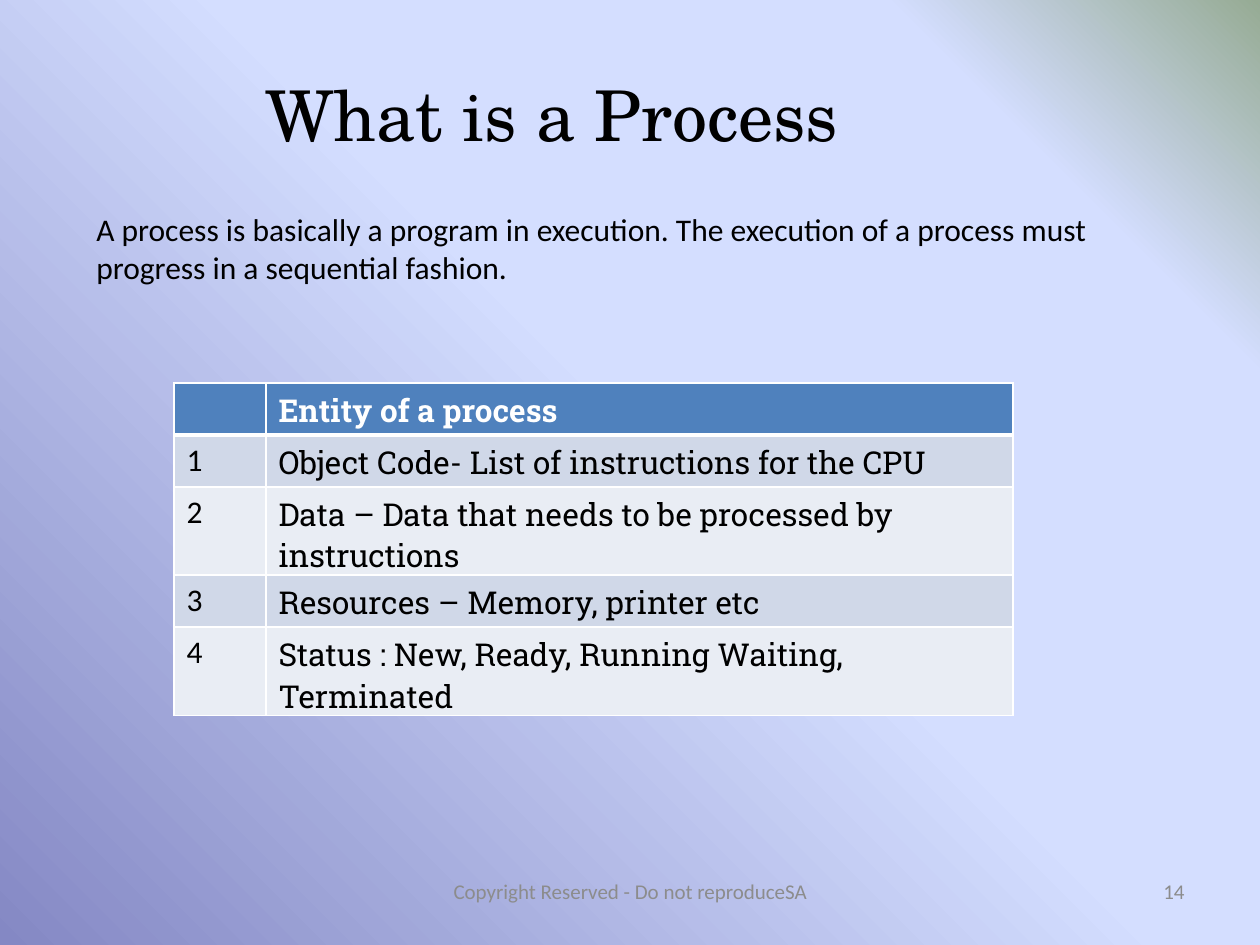
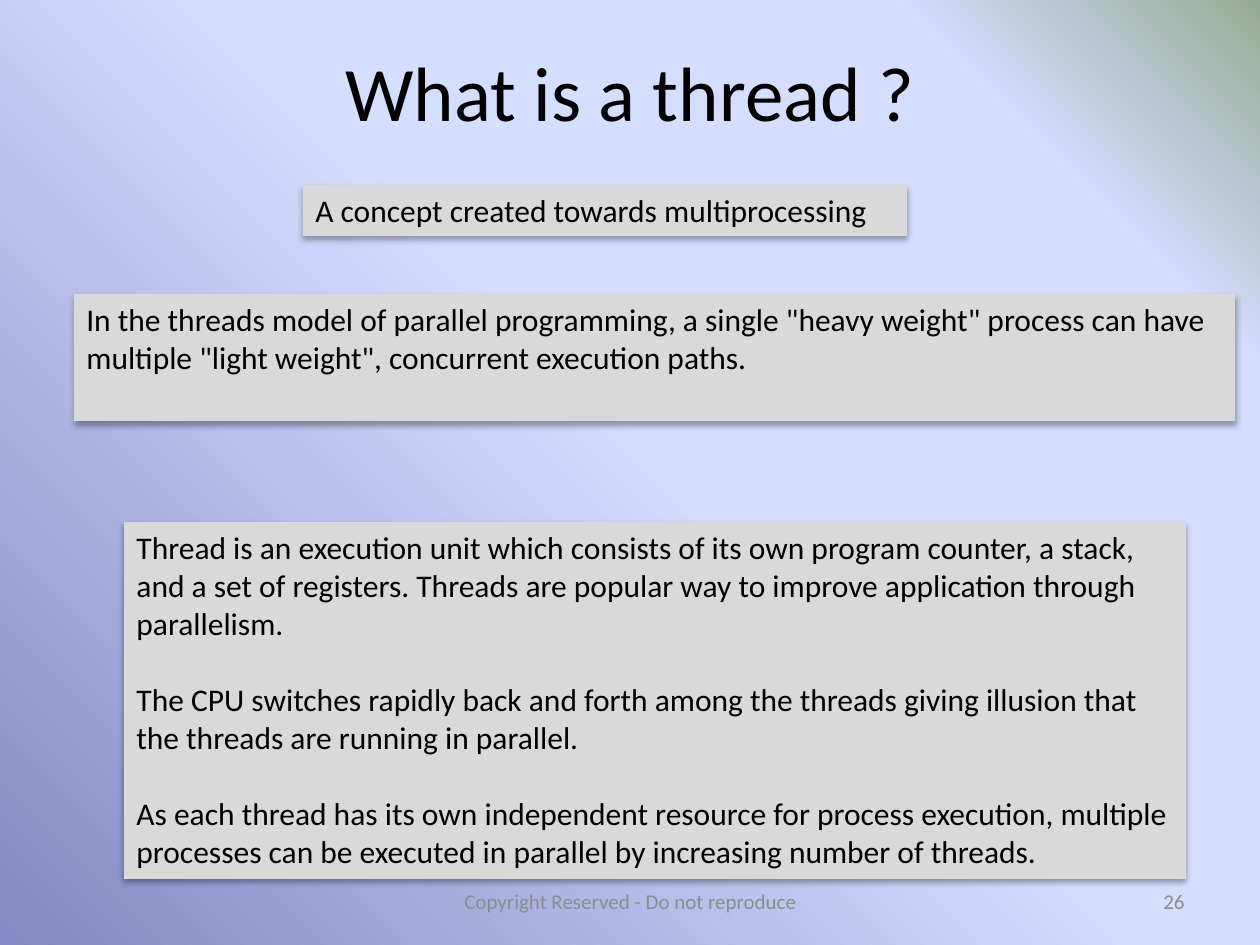
from lxml.etree import SubElement
from copy import deepcopy
from pptx import Presentation
from pptx.dml.color import RGBColor
from pptx.enum.shapes import MSO_SHAPE as SHAPE
from pptx.enum.text import MSO_ANCHOR as ANCHOR, PP_ALIGN as ALIGN
from pptx.oxml.ns import qn
from pptx.util import Pt

PX = 914400 / 126  # EMU in one pixel
WIDTH, HEIGHT = 1260, 945

# Shared look
BACKGROUND = [(0, "8488C4"), (0.53, "D4DEFF"), (0.83, "D4DEFF"), (1, "96AB94")]
PANEL, HEADER, BANDS = "D9D9D9", "4F81BD", ("D0D8E8", "E9EDF4")
SANS, SLAB, SERIF = "Calibri", "Roboto Slab", "TeX Gyre Schola"
BODY = {"name": SANS, "size": Pt(18), "color": "000000"}
FOOTER = {"name": SANS, "size": Pt(12), "color": "8C8C8C"}
SLAB_BODY = BODY | {"name": SLAB}
SLAB_HEAD = SLAB_BODY | {"color": "FFFFFF", "bold": True}
TITLE_SERIF = BODY | {"name": SERIF, "size": Pt(40)}
TITLE_SANS = BODY | {"size": Pt(44)}


def px(n):
    return round(n * PX)


def rgb(code):
    return RGBColor.from_string(code)


def write(tf, paragraphs, style, align=ALIGN.LEFT, gap=0):
    """Fill a text frame, with a gap in points between paragraphs."""
    for i, text in enumerate(paragraphs):
        p = tf.add_paragraph() if i else tf.paragraphs[0]
        p.alignment = align
        if i:
            p.space_before = Pt(gap)
        r = p.add_run()
        r.text = text
        for key, value in style.items():
            if key == "color":
                r.font.color.rgb = rgb(value)
            else:
                setattr(r.font, key, value)


def add_text(s, box, text, style, align=ALIGN.LEFT, anchor=ANCHOR.TOP, wrap=True):
    tf = s.shapes.add_textbox(*map(px, box)).text_frame
    tf.word_wrap = wrap
    tf.vertical_anchor = anchor
    write(tf, [text], style, align)


def add_panel(s, box, *paragraphs):
    """Grey box with a soft shadow below it."""
    sp = s.shapes.add_shape(SHAPE.RECTANGLE, *map(px, box))
    sp.fill.solid()
    sp.fill.fore_color.rgb = rgb(PANEL)
    sp.line.fill.background()
    sp.shadow.inherit = False
    effects = sp._element.spPr.find(qn("a:effectLst"))
    shadow = SubElement(effects, qn("a:outerShdw"), blurRad=str(Pt(3.5)),
                        dist=str(Pt(2.2)), dir="5400000", rotWithShape="0")
    color = SubElement(shadow, qn("a:srgbClr"), val="000000")
    SubElement(color, qn("a:alpha"), val="32000")
    tf = sp.text_frame
    tf.word_wrap = True
    tf.vertical_anchor = ANCHOR.TOP
    write(tf, paragraphs, BODY, gap=22)


def set_borders(cell, **widths):
    tc_pr = cell._tc.get_or_add_tcPr()
    for side in "LRTB":
        ln = SubElement(tc_pr, qn(f"a:ln{side}"), w=str(Pt(widths.get(side, 1))))
        fill = SubElement(ln, qn("a:solidFill"))
        SubElement(fill, qn("a:srgbClr"), val="FFFFFF")


def add_entity_table(s, left, top, widths, heights, heading, entities):
    """Numbered list of entities under one heading."""
    box = (left, top, sum(widths), sum(heights))
    table = s.shapes.add_table(len(heights), len(widths), *map(px, box)).table
    for column, width in zip(table.columns, widths):
        column.width = px(width)
    for row, height in zip(table.rows, heights):
        row.height = px(height)
    rows = [("", heading)] + [(str(n), text) for n, text in enumerate(entities, 1)]
    for i, texts in enumerate(rows):
        styles = (BODY, SLAB_BODY if i else SLAB_HEAD)
        for j, (text, style) in enumerate(zip(texts, styles)):
            cell = table.cell(i, j)
            set_borders(cell, T=3 if i == 1 else 1, B=1 if i else 3)
            cell.fill.solid()
            cell.fill.fore_color.rgb = rgb(BANDS[(i - 1) % 2] if i else HEADER)
            if text:
                write(cell.text_frame, [text], style)


def add_slide(prs, footer, number, footer_top):
    """Blank slide with the gradient background, footer and number."""
    s = prs.slides.add_slide(prs.slide_layouts[6])
    fill = s.background.fill
    fill.gradient()
    fill.gradient_angle = 45
    stops = s._element.find(".//" + qn("a:gsLst"))
    while len(stops) < len(BACKGROUND):
        stops.append(deepcopy(stops[0]))
    for stop, (position, color) in zip(fill.gradient_stops, BACKGROUND):
        stop.position = position
        stop.color.rgb = rgb(color)
    add_text(s, (431, footer_top, 399, 50), footer, FOOTER, ALIGN.CENTER, ANCHOR.MIDDLE)
    add_text(s, (903, footer_top, 294, 50), number, FOOTER, ALIGN.RIGHT, ANCHOR.MIDDLE)
    return s


def process_slide(prs):
    s = add_slide(prs, "Copyright Reserved - Do not reproduceSA", "14", 866)
    add_text(s, (253, 65, 604, 97), "What is a Process", TITLE_SERIF, wrap=False)
    add_entity_table(s, 174, 383, (92, 747), (52, 52, 87, 52, 87), "Entity of a process", [
        "Object Code- List of instructions for the CPU",
        "Data – Data that needs to be processed by instructions",
        "Resources – Memory, printer etc",
        "Status : New, Ready, Running Waiting, Terminated",
    ])
    add_text(s, (84, 204, 1081, 89),
             "A process is basically a program in execution. The execution of a "
             "process must progress in a sequential fashion.", BODY)


def thread_slide(prs):
    s = add_slide(prs, "Copyright Reserved - Do not reproduce", "26", 876)
    add_panel(s, (74, 294, 1161, 127),
              'In the threads model of parallel programming, a single "heavy weight" process '
              'can have multiple "light weight", concurrent execution paths.')
    add_panel(s, (124, 522, 1062, 357),
              "Thread is an execution unit which consists of its own program counter, a stack, "
              "and a set of registers. Threads are popular way to improve application through "
              "parallelism.",
              "The CPU switches rapidly back and forth among the threads giving illusion that "
              "the threads are running in parallel.",
              "As each thread has its own independent resource for process execution, multiple "
              "processes can be executed in parallel by increasing number of threads.")
    add_text(s, (63, 38, 1134, 107), "What is a thread ?", TITLE_SANS, ALIGN.CENTER)
    add_panel(s, (303, 185, 604, 51), "A concept created towards multiprocessing")


def main():
    prs = Presentation()
    prs.slide_width, prs.slide_height = px(WIDTH), px(HEIGHT)
    process_slide(prs)
    thread_slide(prs)
    prs.save("out.pptx")


main()
